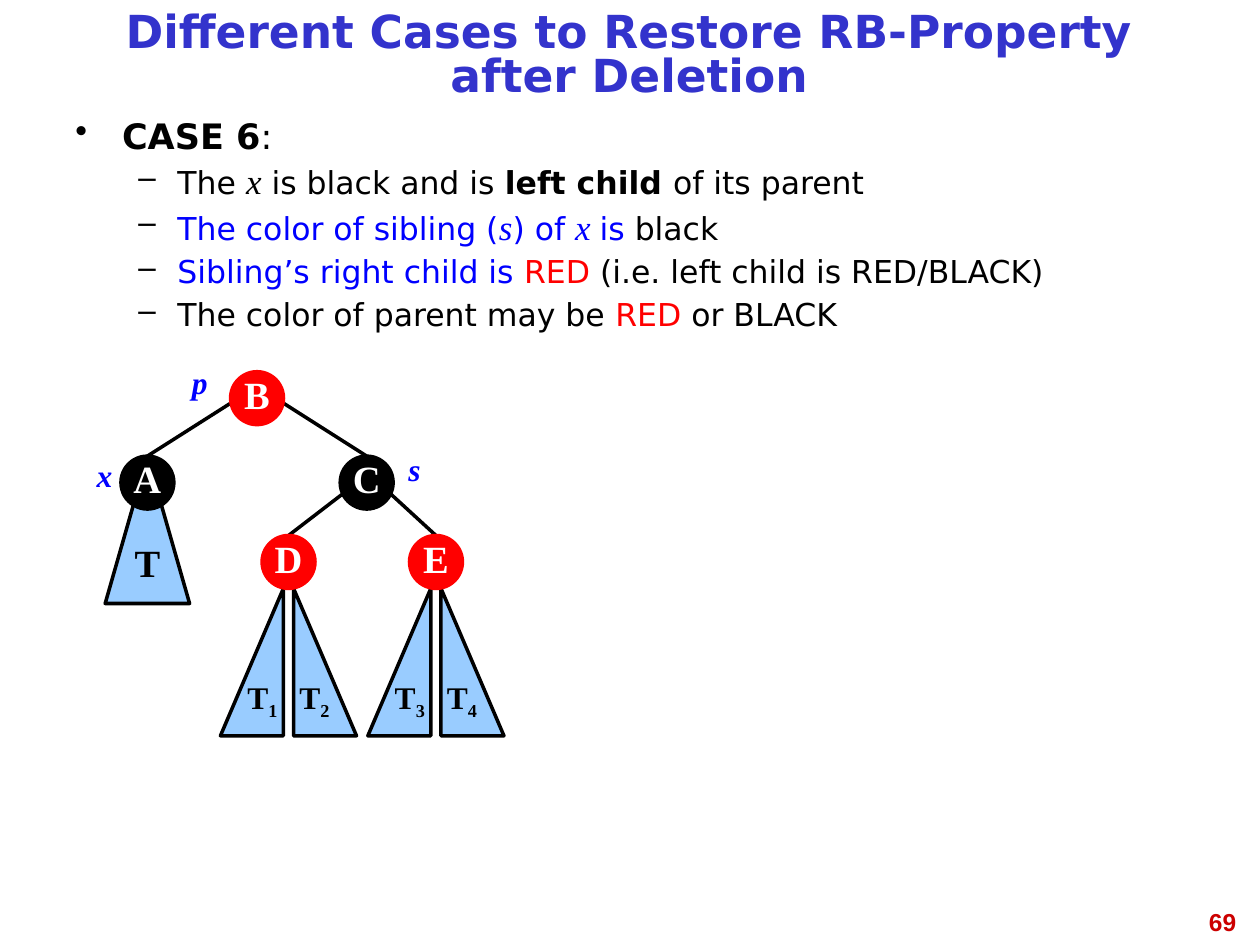
import pptx
import pptx.util
import pptx.dml.color
import pptx.enum.shapes
import pptx.enum.text
import lxml.etree

Inches, Pt = pptx.util.Inches, pptx.util.Pt
SHAPE = pptx.enum.shapes.MSO_SHAPE
ALIGN = pptx.enum.text.PP_ALIGN
MIDDLE = pptx.enum.text.MSO_ANCHOR.MIDDLE

SANS, SERIF = "DejaVu Sans", "Times New Roman"
BLACK, WHITE, RED, BLUE = "000000", "FFFFFF", "FF0000", "0000FF"
SUBTREE_FILL = "99CCFF"

TITLE = "Different Cases to Restore RB-Property after Deletion"
PAGE_NUMBER = "69"

VARIABLE = {"name": SERIF, "size": 20, "italic": True}
BOLD = {"bold": True}
# Each bullet is a list of (text, colour, font changes); the first is the heading.
BULLETS = [
    [("CASE 6", BLACK, BOLD), (":", BLACK, {})],
    [("The ", BLACK, {}), ("x", BLACK, VARIABLE), (" is black and is ", BLACK, {}),
     ("left child ", BLACK, BOLD), ("of its parent", BLACK, {})],
    [("The color of sibling (", BLUE, {}), ("s", BLUE, VARIABLE), (") of ", BLUE, {}),
     ("x ", BLUE, VARIABLE), ("is ", BLUE, {}), ("black", BLACK, {})],
    [("Sibling’s right child is ", BLUE, {}), ("RED ", RED, {}),
     ("(i.e. left child is RED/BLACK)", BLACK, {})],
    [("The color of parent may be ", BLACK, {}), ("RED", RED, {}), (" or BLACK", BLACK, {})],
]

DIAMETER = 0.42
SUBTREE_HEIGHT = 1.17
HALF_WIDTH, HALF_GAP = 0.5, 0.04
# name: (centre x, centre y, colour)
NODES = {
    "B": (2.04, 3.16, RED),
    "A": (1.17, 3.83, BLACK),
    "C": (2.91, 3.83, BLACK),
    "D": (2.29, 4.46, RED),
    "E": (3.46, 4.46, RED),
}
# parent: (left child, right child, sideways and downward offset of the edge's start)
EDGES = {"B": ("A", "C", 0.21, 0.04), "C": ("D", "E", 0.19, 0.09)}
SUBTREE_PAIRS = {"D": ("1", "2"), "E": ("3", "4")}
# text, left, top, width
LABELS = [("p", 1.17, 2.83, 0.83), ("s", 3.0, 3.52, 0.58), ("x", 0.58, 3.57, 0.5)]


def color(value):
    return pptx.dml.color.RGBColor.from_string(value)


def set_font(font, name, size, value, bold=False, italic=False):
    font.name, font.size = name, Pt(size)
    font.bold, font.italic = bold, italic
    font.color.rgb = color(value)


def add_text(slide, text, box, align, spacing=None):
    """Add a wrapped one-paragraph text box and return its frame and paragraph."""
    frame = slide.shapes.add_textbox(*map(Inches, box)).text_frame
    frame.word_wrap = True
    paragraph = frame.paragraphs[0]
    paragraph.text = text
    paragraph.alignment = align
    paragraph.line_spacing = spacing
    return frame, paragraph


def add_bullet(paragraph, symbol, indent, hanging):
    properties = paragraph._p.get_or_add_pPr()
    properties.set("marL", str(Inches(indent)))
    properties.set("indent", str(-Inches(hanging)))
    namespace = pptx.oxml.ns.qn
    bullet_color = lxml.etree.SubElement(properties, namespace("a:buClr"))
    lxml.etree.SubElement(bullet_color, namespace("a:srgbClr")).set("val", BLACK)
    lxml.etree.SubElement(properties, namespace("a:buChar")).set("char", symbol)


def add_body(slide):
    frame, paragraph = add_text(slide, "", (0.5, 0.92, 8.99, 1.92), ALIGN.JUSTIFY, 0.8)
    for index, runs in enumerate(BULLETS):
        if index:
            paragraph = frame.add_paragraph()
            paragraph.level = 1
            paragraph.alignment = ALIGN.JUSTIFY
            paragraph.line_spacing = 0.8
            paragraph.space_before = Pt(7)
            add_bullet(paragraph, "–", 0.81, 0.31)
        else:
            add_bullet(paragraph, "•", 0.37, 0.37)
        for text, value, changes in runs:
            run = paragraph.add_run()
            run.text = text
            style = {"name": SANS, "size": 18 if index else 20, "value": value}
            set_font(run.font, **{**style, **changes})


def add_tree_shape(slide, kind, box, fill, line, text, size, text_color, subscript=""):
    shape = slide.shapes.add_shape(kind, *map(Inches, box))
    shape.shadow.inherit = False
    shape.fill.solid()
    shape.fill.fore_color.rgb = color(fill)
    shape.line.color.rgb = color(line)
    shape.line.width = Pt(2)
    frame = shape.text_frame
    frame.word_wrap = False
    frame.vertical_anchor = MIDDLE
    paragraph = frame.paragraphs[0]
    paragraph.alignment = ALIGN.CENTER
    paragraph.line_spacing = 0.81
    for part in filter(None, (text, subscript)):
        run = paragraph.add_run()
        run.text = part
        set_font(run.font, SERIF, size, text_color, bold=True)
    if subscript:
        run.font._element.set("baseline", "-25000")
    return shape


def add_subtrees(slide):
    for node, (left, right) in SUBTREE_PAIRS.items():
        x, y, _ = NODES[node]
        top = y + DIAMETER / 2
        for subscript, start in ((left, x - HALF_GAP - HALF_WIDTH), (right, x + HALF_GAP)):
            shape = add_tree_shape(slide, SHAPE.RIGHT_TRIANGLE,
                                   (start, top, HALF_WIDTH, SUBTREE_HEIGHT),
                                   SUBTREE_FILL, BLACK, "T", 18, BLACK, subscript)
            if subscript == left:
                shape._element.spPr.xfrm.set("flipH", "1")
    x, y, _ = NODES["A"]
    width = 0.67
    add_tree_shape(slide, SHAPE.ISOSCELES_TRIANGLE,
                   (x - width / 2, y - DIAMETER / 2, width, SUBTREE_HEIGHT),
                   SUBTREE_FILL, BLACK, "T", 22, BLACK)


def add_edges(slide):
    for parent, (left, right, sideways, down) in EDGES.items():
        x, y, _ = NODES[parent]
        for child, side in ((left, -1), (right, 1)):
            child_x, child_y, _ = NODES[child]
            ends = (x + side * sideways, y + down, child_x, child_y - DIAMETER / 2)
            edge = slide.shapes.add_connector(
                pptx.enum.shapes.MSO_CONNECTOR.STRAIGHT, *map(Inches, ends))
            edge.line.color.rgb = color(BLACK)
            edge.line.width = Pt(2)
            lxml.etree.SubElement(edge._element.spPr, pptx.oxml.ns.qn("a:effectLst"))


def add_nodes(slide):
    for name, (x, y, fill) in NODES.items():
        box = (x - DIAMETER / 2, y - DIAMETER / 2, DIAMETER, DIAMETER)
        add_tree_shape(slide, SHAPE.OVAL, box, fill, fill, name, 22, WHITE)


def main():
    presentation = pptx.Presentation()
    presentation.slide_width, presentation.slide_height = Inches(10), Inches(7.5)
    slide = presentation.slides.add_slide(presentation.slide_layouts[6])

    _, paragraph = add_text(slide, PAGE_NUMBER, (7.58, 7.15, 2.33, 0.52), ALIGN.RIGHT)
    set_font(paragraph.font, "Arial", 14, "CC0000", bold=True)
    frame, paragraph = add_text(slide, TITLE, (0.5, 0.08, 8.99, 0.75), ALIGN.CENTER, 0.81)
    frame.vertical_anchor = MIDDLE
    set_font(paragraph.font, SANS, 26, "3333CC", bold=True)
    add_body(slide)

    add_subtrees(slide)
    add_edges(slide)
    add_nodes(slide)
    for text, left, top, width in LABELS:
        _, paragraph = add_text(slide, text, (left, top, width, 0.4), ALIGN.CENTER)
        set_font(paragraph.font, SERIF, 18, BLUE, bold=True, italic=True)
    presentation.save("out.pptx")


if __name__ == "__main__":
    main()
